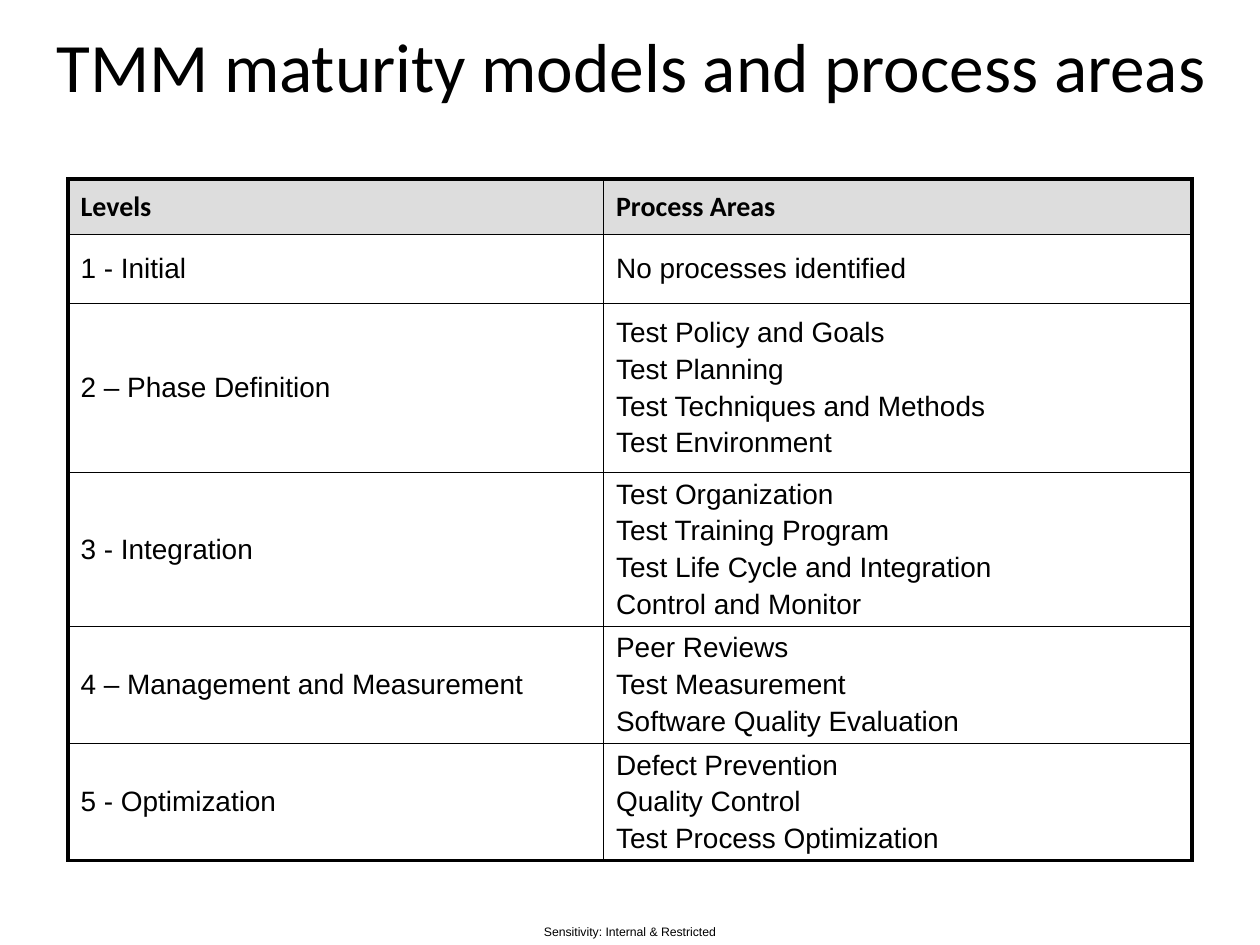
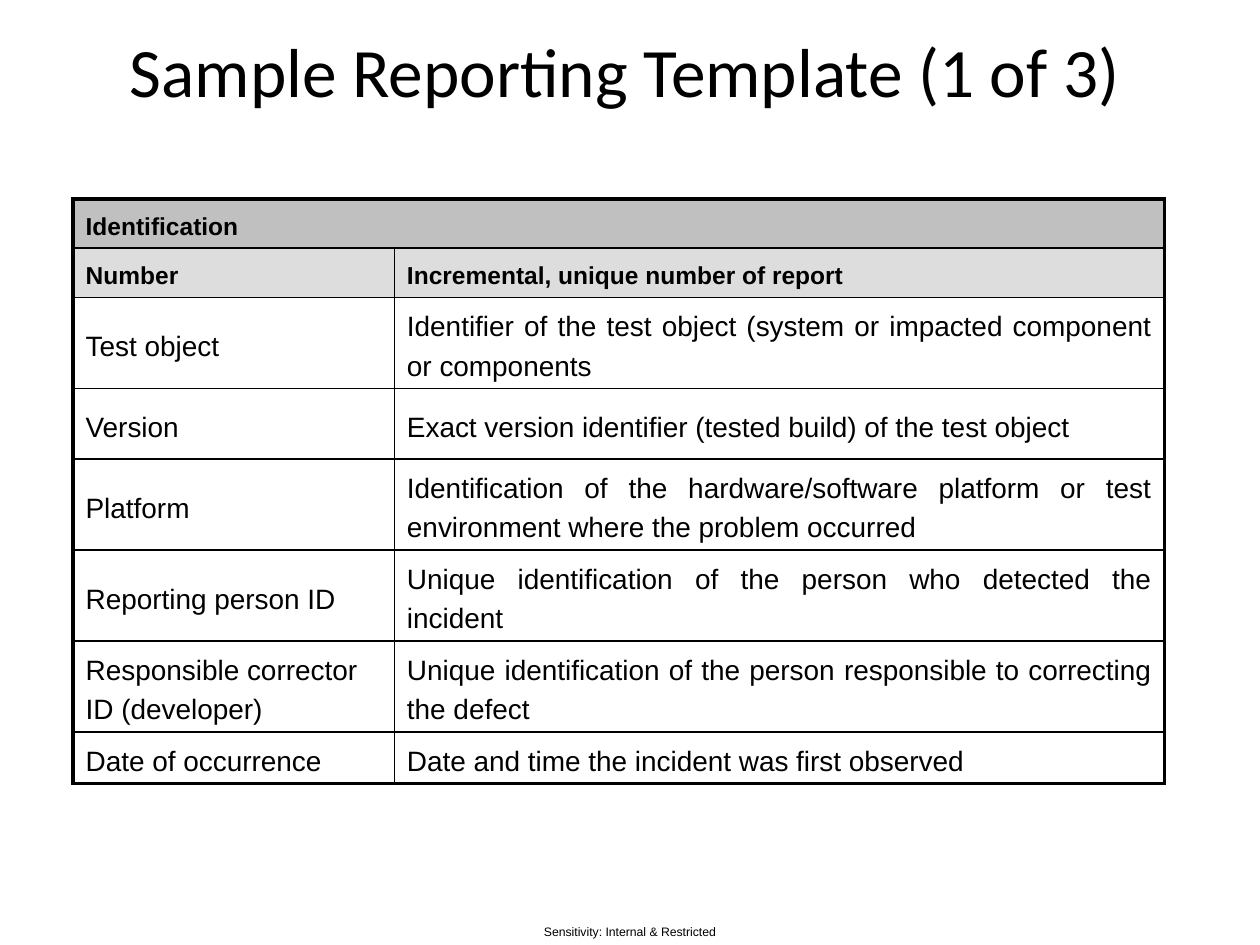
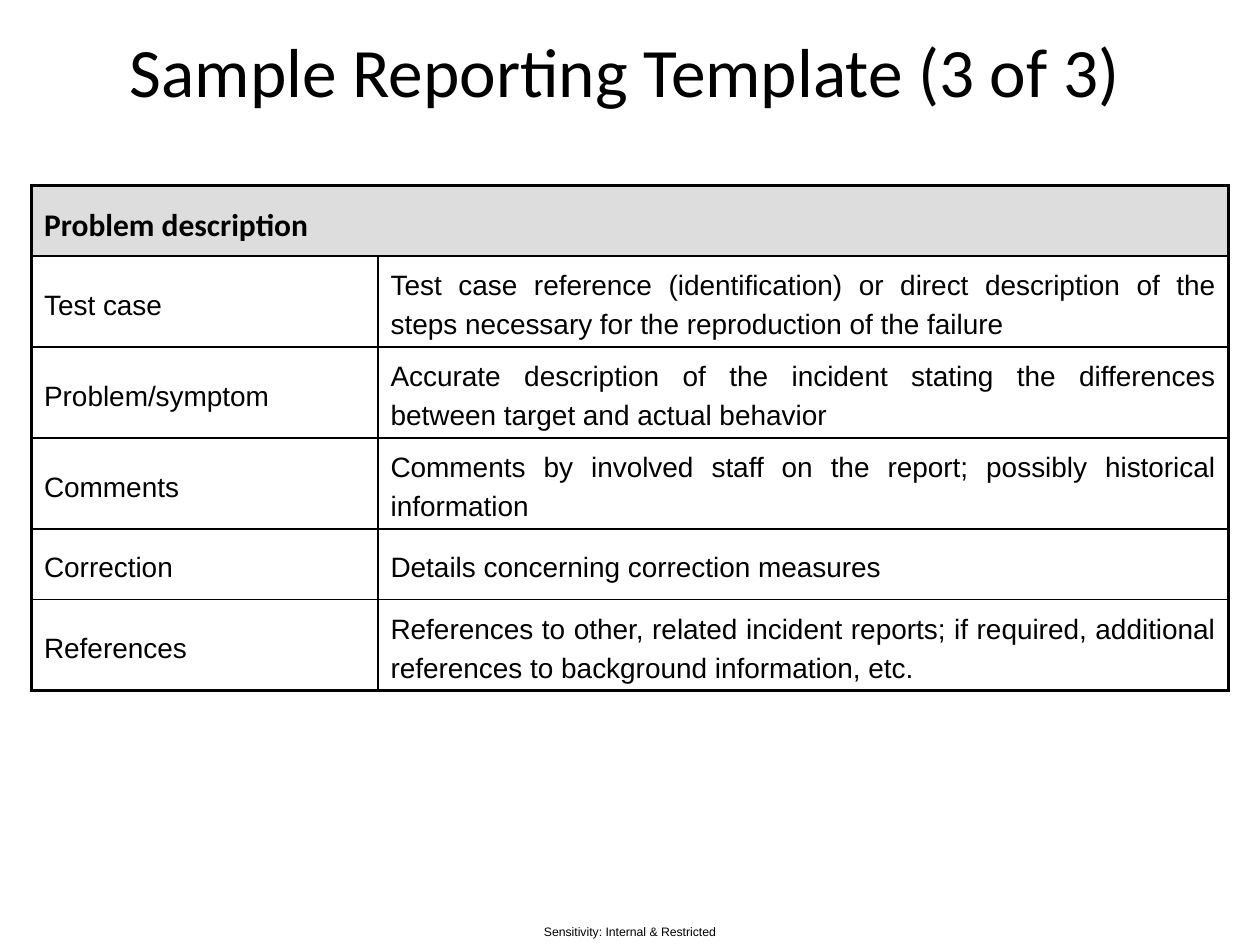
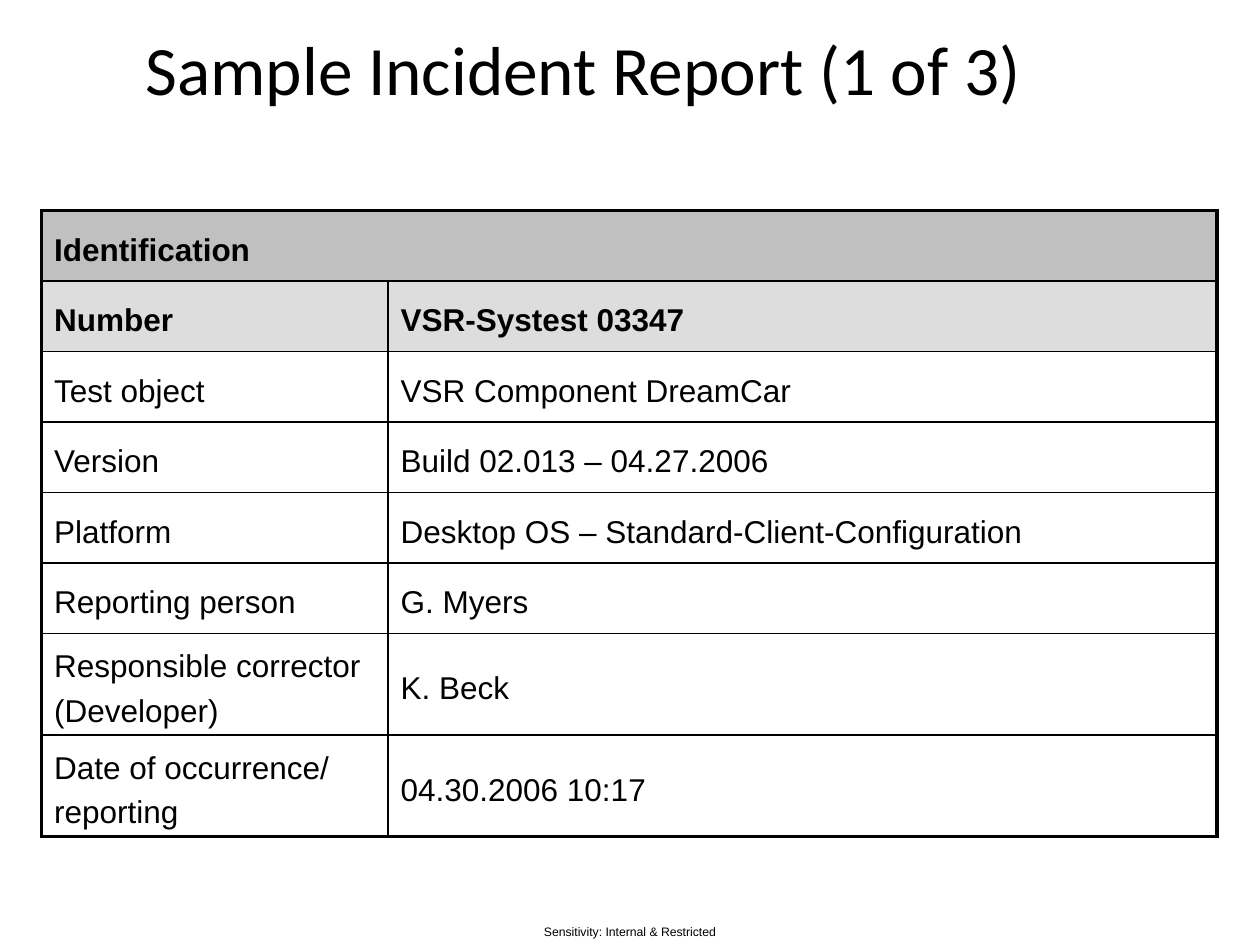
import lxml.etree
import pptx
import pptx.dml.color
import pptx.enum.text
import pptx.oxml.ns
import pptx.util

Inches = pptx.util.Inches
Pt = pptx.util.Pt
Align = pptx.enum.text.PP_ALIGN
Anchor = pptx.enum.text.MSO_ANCHOR

BLACK, DARK_GREY, LIGHT_GREY = "000000", "C0C0C0", "DDDDDD"
OUTER_LINE, INNER_LINE = 2.25, 1
FOOTER = "Sensitivity: Internal & Restricted"
FOOTER_PLACE = (4.18, 7.28, 1.64, 0.22)

# A header row with a single text spans both columns.
SLIDES = [
    {
        "title": "TMM maturity models and process areas",
        "title_place": (0.18, 0.25, 9.66, 0.53),
        "table_place": (0.54, 1.42, 8.92, 5.67),
        "columns": [4.25, 4.67],
        "row_heights": [0.44, 0.55, 1.34, 1.19, 0.9, 0.9],
        "header_fills": [LIGHT_GREY],
        "header_font": ("Calibri", 16),
        "body_size": 16,
        "line_spacing": 1,
        "detail_align": Align.LEFT,
        "rows": [
            ("Levels", "Process Areas"),
            ("1 - Initial", "No processes identified"),
            ("2 – Phase Definition",
             "Test Policy and Goals\nTest Planning\nTest Techniques and Methods\nTest Environment"),
            ("3 - Integration",
             "Test Organization\nTest Training Program\n"
             "Test Life Cycle and Integration\nControl and Monitor"),
            ("4 – Management and Measurement",
             "Peer Reviews\nTest Measurement\nSoftware Quality Evaluation"),
            ("5 - Optimization",
             "Defect Prevention\nQuality Control\nTest Process Optimization"),
        ],
    },
    {
        "title": "Sample Reporting Template (1 of 3)",
        "title_place": (0.17, 0.22, 9.58, 0.67),
        "table_place": (0.58, 1.58, 8.67, 4.7),
        "columns": [2.55, 6.11],
        "row_heights": [0.39] * 2 + [0.56] * 5 + [0.2],
        "header_fills": [DARK_GREY, LIGHT_GREY],
        "header_font": ("Arial", 14),
        "body_size": 16,
        "line_spacing": 1.26,
        "detail_align": Align.JUSTIFY,
        "rows": [
            ("Identification",),
            ("Number", "Incremental, unique number of report"),
            ("Test object",
             "Identifier of the test object (system or impacted component or components"),
            ("Version", "Exact version identifier (tested build) of the test object"),
            ("Platform",
             "Identification of the hardware/software platform or test environment "
             "where the problem occurred"),
            ("Reporting person ID",
             "Unique identification of the person who detected the incident"),
            ("Responsible corrector ID (developer)",
             "Unique identification of the person responsible to correcting the defect"),
            ("Date of occurrence", "Date and time the incident was first observed"),
        ],
    },
    {
        "title": "Sample Reporting Template (3 of 3)",
        "title_place": (0.17, 0.22, 9.58, 0.67),
        "table_place": (0.25, 1.47, 9.5, 4.07),
        "columns": [2.75, 6.75],
        "row_heights": [0.56] * 6,
        "header_fills": [LIGHT_GREY],
        "header_font": ("Calibri", 18),
        "body_size": 16,
        "line_spacing": 1.26,
        "detail_align": Align.JUSTIFY,
        "rows": [
            ("Problem description",),
            ("Test case",
             "Test case reference (identification) or direct description of the steps "
             "necessary for the reproduction of the failure"),
            ("Problem/symptom",
             "Accurate description of the incident stating the differences between "
             "target and actual behavior"),
            ("Comments",
             "Comments by involved staff on the report; possibly historical information"),
            ("Correction", "Details concerning correction measures"),
            ("References",
             "References to other, related incident reports; if required, additional "
             "references to background information, etc."),
        ],
    },
    {
        "title": "Sample Incident Report (1 of 3)",
        "title_place": (0.17, 0.25, 8.92, 0.58),
        "table_place": (0.33, 1.67, 9.33, 4.97),
        "columns": [2.75, 6.58],
        "row_heights": [0.56] * 8,
        "header_fills": [DARK_GREY, LIGHT_GREY],
        "header_font": ("Arial", 18),
        "body_size": 18,
        "line_spacing": 1.26,
        "detail_align": Align.JUSTIFY,
        "rows": [
            ("Identification",),
            ("Number", "VSR-Systest 03347"),
            ("Test object", "VSR Component DreamCar"),
            ("Version", "Build 02.013 – 04.27.2006"),
            ("Platform", "Desktop OS – Standard-Client-Configuration"),
            ("Reporting person", "G. Myers"),
            ("Responsible corrector (Developer)", "K. Beck"),
            ("Date of occurrence/ reporting", "04.30.2006 10:17"),
        ],
    },
]


def colour(value):
    return pptx.dml.color.RGBColor.from_string(value)


def style_paragraph(para, name, size, bold=False, align=Align.LEFT):
    para.alignment = align
    for span in para.runs:
        span.font.name = name
        span.font.size = Pt(size)
        span.font.bold = bold
        span.font.color.rgb = colour(BLACK)


def fill_box(box, place, text, name, size):
    """Place a box without margins and centre one line of text in it."""
    box.left, box.top, box.width, box.height = map(Inches, place)
    frame = box.text_frame
    frame.margin_left = frame.margin_top = frame.margin_right = frame.margin_bottom = 0
    frame.word_wrap = True
    frame.auto_size = pptx.enum.text.MSO_AUTO_SIZE.NONE
    frame.vertical_anchor = Anchor.MIDDLE
    frame.text = text
    style_paragraph(frame.paragraphs[0], name, size, align=Align.CENTER)


def set_borders(cell, widths):
    properties = cell._tc.get_or_add_tcPr()
    qn = pptx.oxml.ns.qn
    for side, width in widths.items():
        line = lxml.etree.SubElement(properties, qn("a:ln" + side), w=str(Pt(width)))
        solid = lxml.etree.SubElement(line, qn("a:solidFill"))
        lxml.etree.SubElement(solid, qn("a:srgbClr"), val=BLACK)


def add_grid(slide, content):
    rows, columns = content["rows"], content["columns"]
    fills = content["header_fills"]
    left, top, width, height = map(Inches, content["table_place"])
    frame = slide.shapes.add_table(len(rows), len(columns), left, top, width, height)
    table = frame.table
    table.first_row = table.horz_banding = False
    for column, column_width in zip(table.columns, columns):
        column.width = Inches(column_width)
    for row, row_height in zip(table.rows, content["row_heights"]):
        row.height = Inches(row_height)
    frame.height = height

    last_row, last_column = len(rows) - 1, len(columns) - 1
    for r, texts in enumerate(rows):
        is_header = r < len(fills)
        name, size = content["header_font"] if is_header else ("Arial", content["body_size"])
        merged = len(texts) == 1
        for c in range(len(columns)):
            cell = table.cell(r, c)
            set_borders(cell, {
                "L": OUTER_LINE if c == 0 else INNER_LINE,
                "R": OUTER_LINE if c == last_column or merged else INNER_LINE,
                "T": OUTER_LINE if r == 0 else INNER_LINE,
                "B": OUTER_LINE if r == last_row else INNER_LINE,
            })
            if is_header:
                cell.fill.solid()
                cell.fill.fore_color.rgb = colour(fills[r])
            else:
                cell.fill.background()
            if c >= len(texts):
                continue
            cell.vertical_anchor = Anchor.MIDDLE
            cell.text_frame.text = texts[c]
            align = content["detail_align"] if c and not is_header else Align.LEFT
            for index, para in enumerate(cell.text_frame.paragraphs):
                style_paragraph(para, name, size, is_header, align)
                para.line_spacing = content["line_spacing"]
                if index:
                    para.space_before = Pt(0.2 * size)
        if merged:
            table.cell(r, 0).merge(table.cell(r, last_column))


def move_footer_to_layout(slide, layout):
    """Build the footer on a slide, then let the layout show it on every slide."""
    for holder in list(layout.placeholders)[1:]:
        layout.shapes.element.remove(holder.element)
    box = slide.shapes.add_textbox(*map(Inches, FOOTER_PLACE))
    fill_box(box, FOOTER_PLACE, FOOTER, "Arial", 7)
    layout.shapes.element.append(box.element)


def main():
    deck = pptx.Presentation()
    deck.slide_width, deck.slide_height = Inches(10), Inches(7.5)
    layout = deck.slide_layouts[5]
    for content in SLIDES:
        slide = deck.slides.add_slide(layout)
        fill_box(slide.shapes.title, content["title_place"], content["title"], "Calibri", 39.6)
        add_grid(slide, content)
    move_footer_to_layout(deck.slides[0], layout)
    deck.save("out.pptx")


if __name__ == "__main__":
    main()
